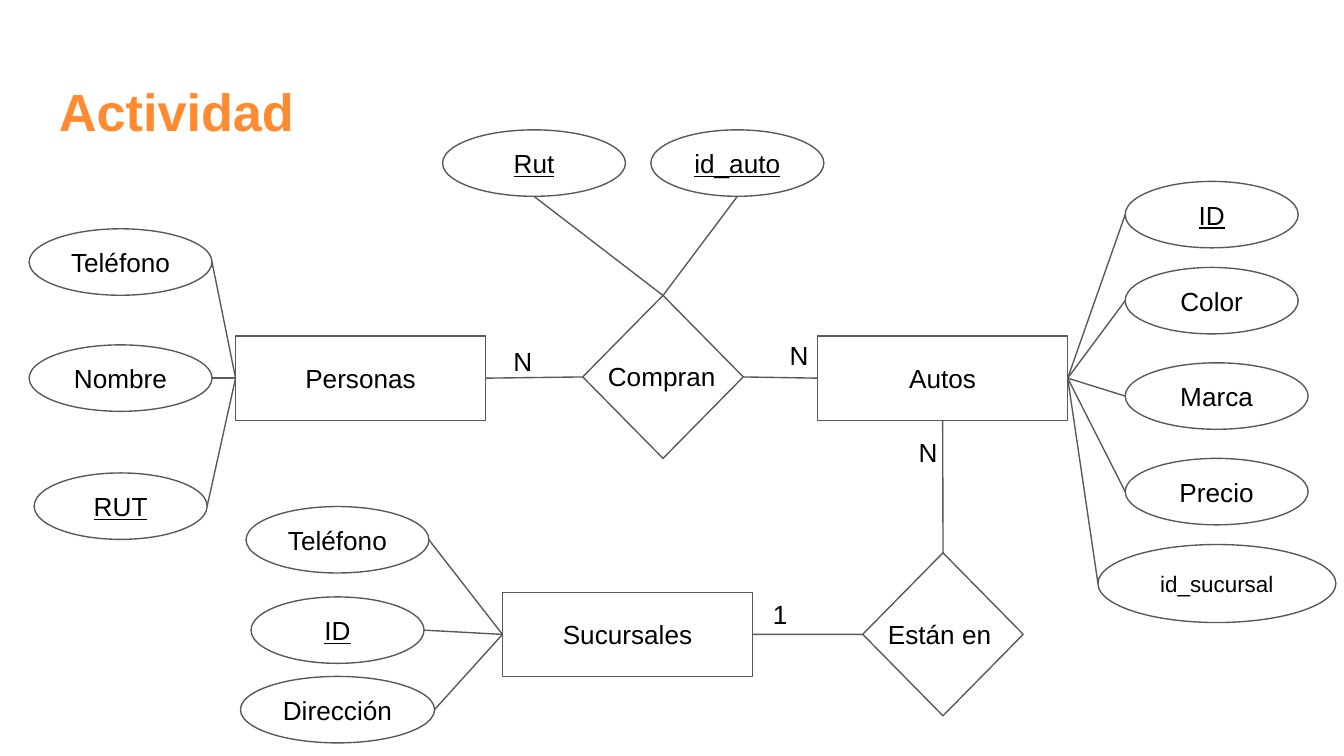
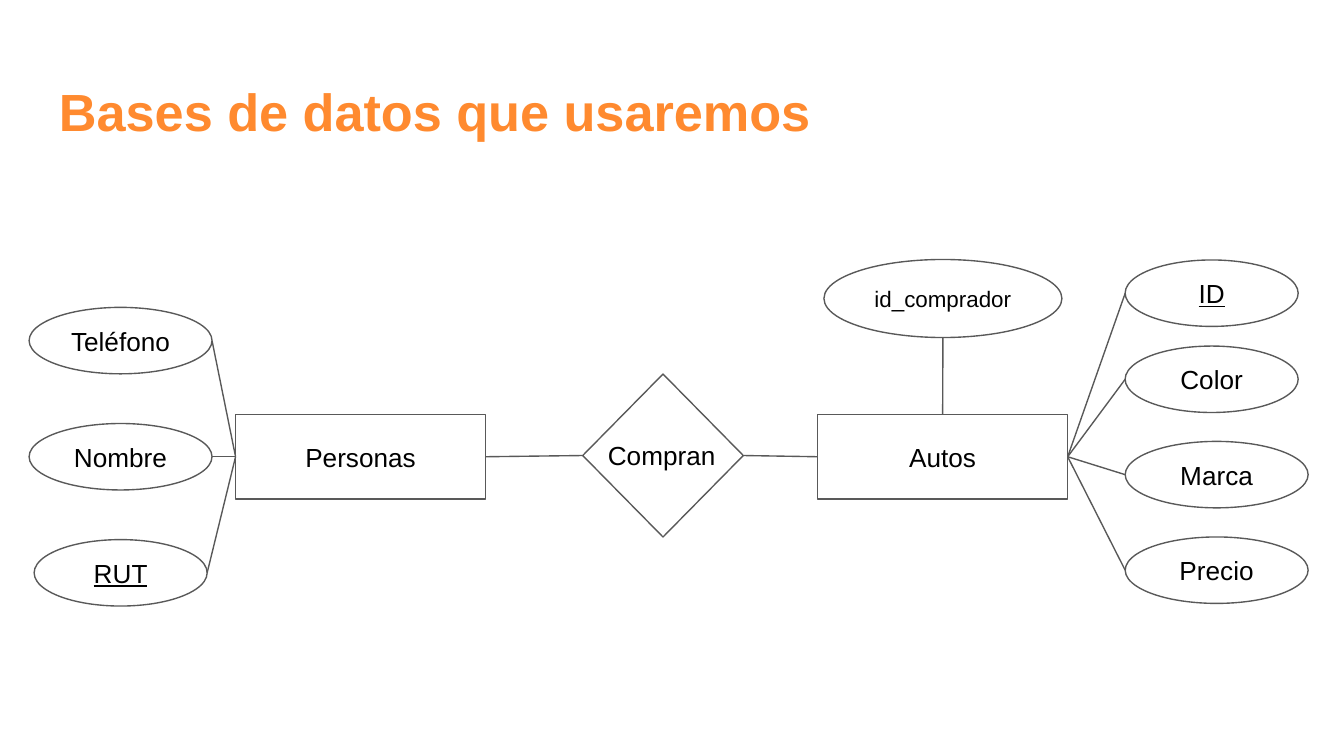
"""Two entity-relationship diagrams of a car sales database."""
from dataclasses import dataclass
from typing import Optional

from pptx import Presentation
from pptx import util as u
from pptx.dml import color
from pptx.enum import shapes, text
from pptx.oxml import xmlchemy

TOP, LEFT, BOTTOM, RIGHT = range(4)


@dataclass(frozen=True)
class Theme:
    """Colours, fonts and type sizes of the deck."""
    title: color.RGBColor = color.RGBColor(0xFF, 0x8A, 0x2F)
    ink: color.RGBColor = color.RGBColor(0, 0, 0)
    outline: color.RGBColor = color.RGBColor(0x59, 0x59, 0x59)
    font: str = "Arial"
    title_size: float = 28
    body_size: float = 14
    small_size: float = 12
    line_width: float = 0.75
    inset: float = 7.2


THEME = Theme()


@dataclass(frozen=True)
class Size:
    """Width and height in points."""
    width: float
    height: float


ENTITY = Size(134, 45.2)
DIAMOND = Size(86, 87.3)
DIAMOND_LABEL = Size(78, 32)
CARDINALITY = Size(16, 14)
NARROW = Size(92.7, 35.6)
NORMAL = Size(98, 35.6)
BROAD = Size(104, 35.6)
LARGE = Size(127.5, 41.8)
TITLE = Size(671, 45.2)


@dataclass(frozen=True)
class Attribute:
    """An attribute ellipse; key attributes are underlined."""
    name: str
    left: float
    top: float
    size: Size = NORMAL
    key: bool = False
    font_size: float = THEME.body_size


def write(shape, label: str, size: float, ink: color.RGBColor,
          bold: bool = False, key: bool = False, centred: bool = False) -> None:
    """Put one styled line of text in a shape."""
    frame = shape.text_frame
    frame.word_wrap = True
    frame.margin_left = frame.margin_right = u.Pt(THEME.inset)
    frame.margin_top = frame.margin_bottom = u.Pt(THEME.inset)
    frame.vertical_anchor = text.MSO_ANCHOR.MIDDLE if centred else text.MSO_ANCHOR.TOP
    para = frame.paragraphs[0]
    para.alignment = text.PP_ALIGN.CENTER if centred else text.PP_ALIGN.LEFT
    span = para.add_run()
    span.text = label
    span.font.name = THEME.font
    span.font.size = u.Pt(size)
    span.font.color.rgb = ink
    span.font.bold = bold
    span.font.underline = key


def add_text(page, label: str, left: float, top: float, size: Size,
             font_size: float = THEME.body_size,
             ink: color.RGBColor = THEME.ink, bold: bool = False) -> None:
    """Add a left-aligned text box."""
    box = page.shapes.add_textbox(u.Pt(left), u.Pt(top), u.Pt(size.width), u.Pt(size.height))
    write(box, label, font_size, ink, bold)


def add_outline(page, kind: shapes.MSO_SHAPE, left: float, top: float, size: Size):
    """Add an unfilled, outlined preset shape."""
    shape = page.shapes.add_shape(kind, u.Pt(left), u.Pt(top), u.Pt(size.width), u.Pt(size.height))
    shape.shadow.inherit = False
    shape.fill.background()
    shape.line.color.rgb = THEME.outline
    shape.line.width = u.Pt(THEME.line_width)
    return shape


def add_entity(page, name: str, left: float, top: float):
    """Add an entity rectangle."""
    entity = add_outline(page, shapes.MSO_SHAPE.RECTANGLE, left, top, ENTITY)
    write(entity, name, THEME.body_size, THEME.ink, centred=True)
    return entity


def add_relation(page, name: str, left: float, top: float):
    """Add a relation diamond with its label laid over it."""
    diamond = add_outline(page, shapes.MSO_SHAPE.DIAMOND, left, top, DIAMOND)
    add_text(page, name, left + 6.4, top + 27.7, DIAMOND_LABEL)
    return diamond


def side_point(shape, side: int) -> tuple[int, int]:
    """Return the middle of one side of a shape's frame."""
    across = {LEFT: 0, RIGHT: shape.width}.get(side, shape.width // 2)
    down = {TOP: 0, BOTTOM: shape.height}.get(side, shape.height // 2)
    return shape.left + across, shape.top + down


def connect(page, start, start_side: int, end, end_side: int, join_start: bool = True) -> None:
    """Draw a straight line between the sides of two shapes."""
    line = page.shapes.add_connector(
        shapes.MSO_CONNECTOR.STRAIGHT, *side_point(start, start_side), *side_point(end, end_side))
    if join_start:
        line.begin_connect(start, start_side)
    line.end_connect(end, end_side)
    line.line.color.rgb = THEME.outline
    line.line.width = u.Pt(THEME.line_width)
    effects = xmlchemy.OxmlElement("a:effectLst")
    line.line._get_or_add_ln().addnext(effects)


def add_attributes(page, attributes: list[Attribute], side: int, owner, owner_side: int,
                   shift: float = 0) -> None:
    """Add attribute ellipses and tie each of them to its owner."""
    for attribute in attributes:
        ellipse = add_outline(page, shapes.MSO_SHAPE.OVAL, attribute.left,
                              attribute.top + shift, attribute.size)
        write(ellipse, attribute.name, attribute.font_size, THEME.ink,
              key=attribute.key, centred=True)
        connect(page, ellipse, side, owner, owner_side, join_start=False)


def add_page(deck, title: str):
    """Add a blank page with the shared title style."""
    page = deck.slides.add_slide(deck.slide_layouts[6])
    add_text(page, title, 24.5, 35.5, TITLE, THEME.title_size, THEME.title, bold=True)
    return page


def add_sale(page, rut_top: float, shift: float = 0) -> tuple:
    """Draw people buying cars and return the cars entity and the relation."""
    people = add_entity(page, "Personas", 126.2, 180 + shift)
    cars = add_entity(page, "Autos", 438, 180 + shift)
    buying = add_relation(page, "Compran", 312.2, 158.3 + shift)
    connect(page, people, RIGHT, buying, LEFT)
    connect(page, buying, RIGHT, cars, LEFT)
    add_attributes(page, [
        Attribute("Teléfono", 15.6, 122.6),
        Attribute("Nombre", 15.6, 184.8),
        Attribute("RUT", 18.3, rut_top, NARROW, key=True),
    ], RIGHT, people, LEFT, shift)
    add_attributes(page, [
        Attribute("ID", 602.8, 97.2, NARROW, key=True),
        Attribute("Color", 602.8, 143.3, NARROW),
        Attribute("Marca", 602.8, 194.4),
        Attribute("Precio", 602.8, 245.6),
    ], LEFT, cars, RIGHT, shift)
    return cars, buying


def add_activity(deck) -> None:
    """Build the full diagram with branches and cardinalities."""
    page = add_page(deck, "Actividad")
    cars, buying = add_sale(page, rut_top=253.4)
    branches = add_entity(page, "Sucursales", 269.2, 317.3)
    located = add_relation(page, "Están en", 462.2, 296.2)
    connect(page, cars, BOTTOM, located, TOP)
    connect(page, located, LEFT, branches, RIGHT)
    add_attributes(page, [
        Attribute("Teléfono", 131.8, 271.4),
        Attribute("ID", 134.5, 319.8, NARROW, key=True),
        Attribute("Dirección", 128.8, 362.4, BROAD),
    ], RIGHT, branches, LEFT)
    add_attributes(page, [
        Attribute("id_sucursal", 588.2, 291.7, LARGE, font_size=THEME.small_size),
    ], LEFT, cars, RIGHT)
    add_attributes(page, [
        Attribute("Rut", 237.1, 69.6, key=True),
        Attribute("id_auto", 348.7, 69.6, NARROW, key=True),
    ], BOTTOM, buying, TOP)
    for label, left, top in (("N", 268, 178), ("N", 416, 175), ("1", 407, 314), ("N", 485, 227)):
        add_text(page, label, left, top, CARDINALITY)


def add_databases(deck) -> None:
    """Build the reduced diagram of the databases in use."""
    page = add_page(deck, "Bases de datos que usaremos")
    cars, _ = add_sale(page, rut_top=247, shift=42.1)
    add_attributes(page, [
        Attribute("id_comprador", 441.4, 139, LARGE, font_size=THEME.small_size),
    ], BOTTOM, cars, TOP)


def main() -> None:
    """Build and save the deck."""
    deck = Presentation()
    deck.slide_width, deck.slide_height = u.Pt(720), u.Pt(405)
    add_activity(deck)
    add_databases(deck)
    deck.save("out.pptx")


if __name__ == "__main__":
    main()
